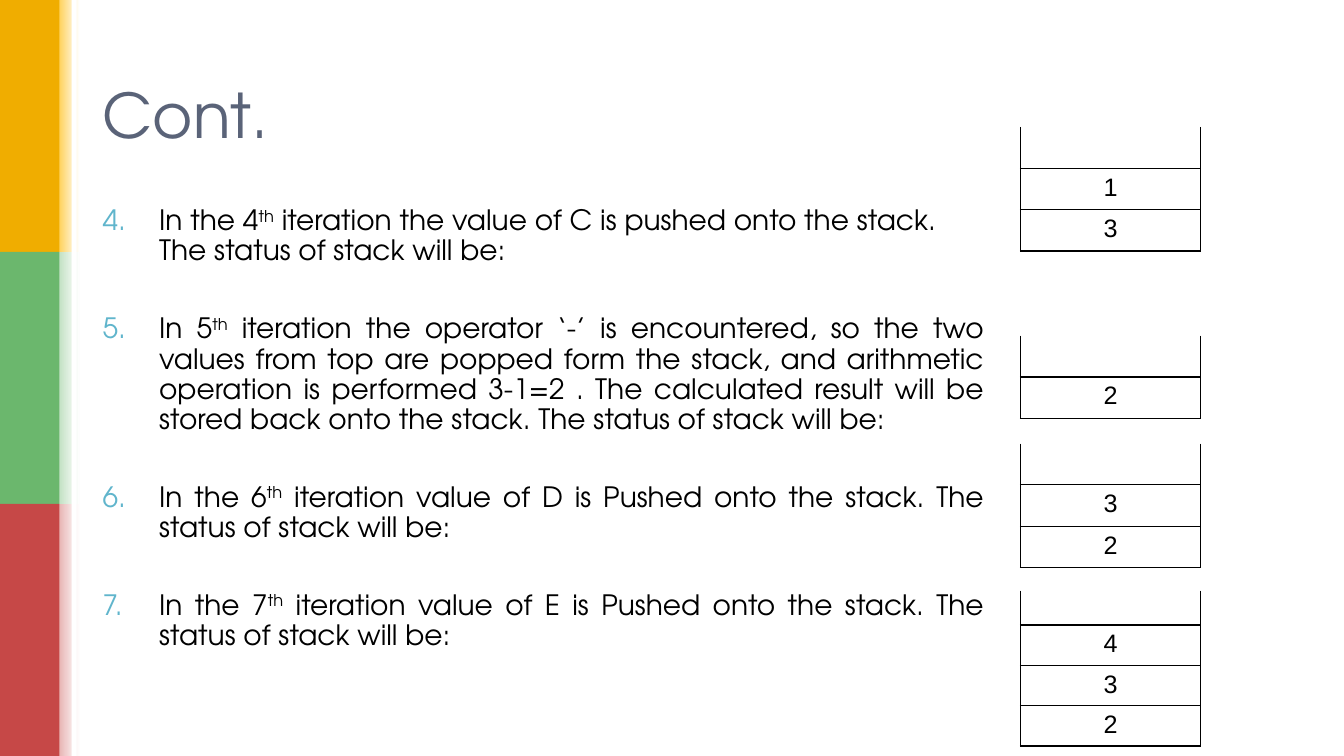
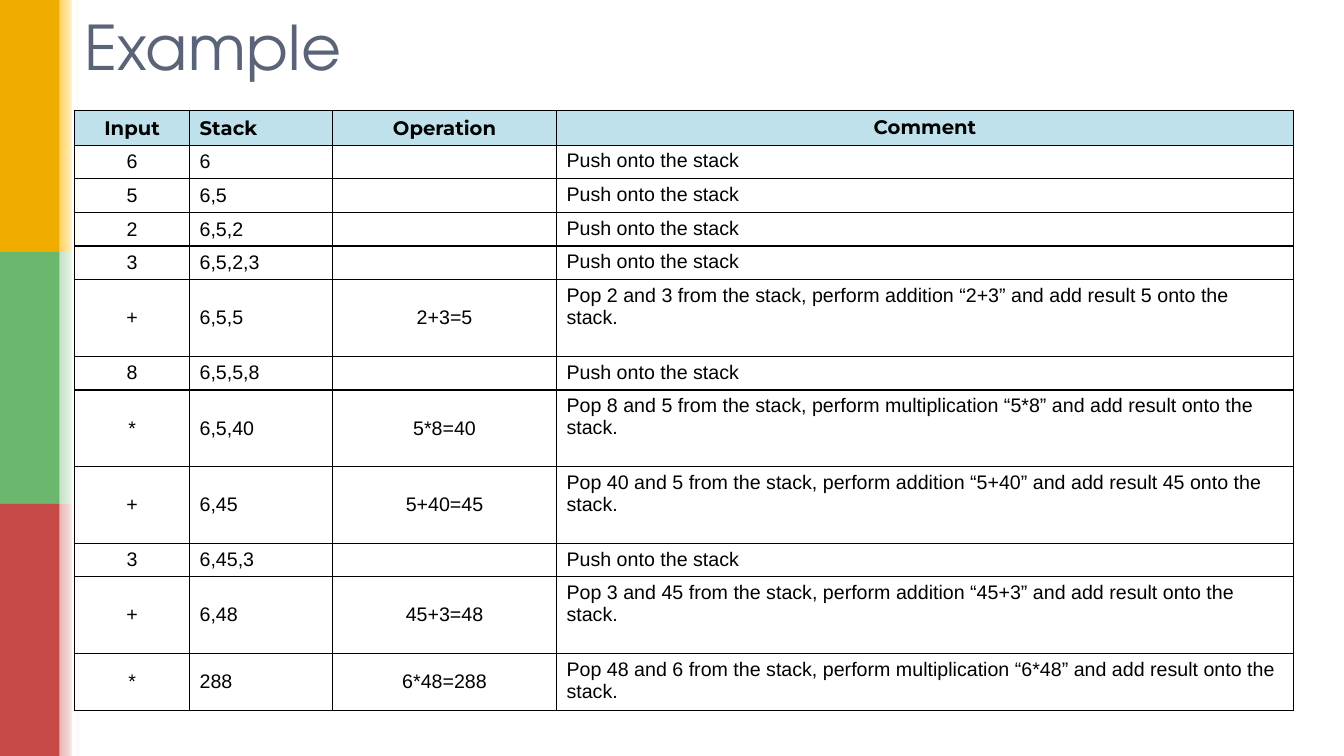
from lxml import etree
from pptx import Presentation
from pptx.dml.color import RGBColor
from pptx.enum.shapes import MSO_SHAPE
from pptx.enum.text import MSO_ANCHOR, PP_ALIGN
from pptx.oxml import parse_xml
from pptx.oxml.ns import nsdecls, qn
from pptx.util import Inches, Pt

RECTANGLE = MSO_SHAPE.RECTANGLE
LEFT, CENTER, JUSTIFY = PP_ALIGN.LEFT, PP_ALIGN.CENTER, PP_ALIGN.JUSTIFY
TOP, MIDDLE = MSO_ANCHOR.TOP, MSO_ANCHOR.MIDDLE

WIDTH, HEIGHT = 13.33, 7.5
DISPLAY_FONT, HEADER_FONT, CELL_FONT = "TeX Gyre Adventor", "Montserrat", "Arial"
BLACK, WHITE, SLATE, SKY, PALE_SKY = "000000", "FFFFFF", "5A6378", "60B5CC", "BFE1EB"
# Band colour and the tint its soft edge starts from, top to bottom
BANDS = [("F0AD00", "FFD25D"), ("6BB76D", "C4E2C5"), ("C64847", "E8B6B5")]
# Title text, left, top, width, height
TITLES = [("Cont.", 0.92, 0.4, 11.5, 1.45), ("Example", 0.74, 0.16, 11.5, 0.6)]


def color(hex_string):
    return RGBColor.from_string(hex_string)


def add_grid(slide, left, top, widths, heights, rows, size, alignments,
             has_header=False, open_top=False):
    """Add a table with thin black borders; open_top drops the upper edge."""
    shape = slide.shapes.add_table(len(rows), len(widths), Inches(left), Inches(top),
                                   Inches(sum(widths)), Inches(sum(heights)))
    table = shape.table
    table.first_row = table.horz_banding = False
    for column, width in zip(table.columns, widths):
        column.width = Inches(width)
    for row_index, (texts, height) in enumerate(zip(rows, heights)):
        table.rows[row_index].height = Inches(height)
        is_header = has_header and row_index == 0
        for column_index, text in enumerate(texts):
            cell = table.cell(row_index, column_index)
            # The last column holds the longest text and starts at the top
            cell.vertical_anchor = TOP if column_index == len(widths) - 1 else MIDDLE
            if is_header:
                cell.fill.solid()
                cell.fill.fore_color.rgb = color(PALE_SKY)
            else:
                cell.fill.background()
            paragraph = cell.text_frame.paragraphs[0]
            if text:
                paragraph.text = text
            paragraph.alignment = alignments[column_index]
            if is_header and text == "Comment":
                paragraph.alignment = CENTER
            paragraph.font.name = HEADER_FONT if is_header else CELL_FONT
            paragraph.font.size = Pt(size if text else 14)
            paragraph.font.bold = is_header
            paragraph.font.color.rgb = color(BLACK)
            properties = cell._tc.get_or_add_tcPr()
            for position, side in enumerate("LRTB"):
                hidden = open_top and row_index == 0 and side == "T"
                paint = "<a:noFill/>" if hidden else (
                    f'<a:solidFill><a:srgbClr val="{BLACK}"/></a:solidFill>')
                properties.insert(position, parse_xml(
                    f'<a:ln{side} {nsdecls("a")} w="{Pt(1)}">{paint}</a:ln{side}>'))


presentation = Presentation()
presentation.slide_width, presentation.slide_height = Inches(WIDTH), Inches(HEIGHT)

# Shared frame: bands with soft edges, and the title
band_height = HEIGHT / len(BANDS)
slides = []
for title, left, top, width, height in TITLES:
    slide = presentation.slides.add_slide(presentation.slide_layouts[6])
    slides.append(slide)
    pieces = [(0, i * band_height, 0.62, band_height, band, None)
              for i, (band, tint) in enumerate(BANDS)]
    pieces += [(0.59, i * band_height, 0.2, band_height, tint, WHITE)
               for i, (band, tint) in enumerate(BANDS)]
    pieces.append((0.71, 0, 0.05, HEIGHT, WHITE, None))
    for x, y, piece_width, piece_height, start, end in pieces:
        shape = slide.shapes.add_shape(RECTANGLE, Inches(x), Inches(y),
                                       Inches(piece_width), Inches(piece_height))
        shape.shadow.inherit = False
        shape.line.fill.background()
        if end:
            shape.fill.gradient()
            shape.fill.gradient_angle = 0
            for stop, stop_color in zip(shape.fill.gradient_stops, (start, end)):
                stop.color.rgb = color(stop_color)
        else:
            shape.fill.solid()
            shape.fill.fore_color.rgb = color(start)

    title_box = slide.shapes.add_textbox(Inches(left), Inches(top),
                                         Inches(width), Inches(height))
    title_box.text_frame.word_wrap = True
    title_box.text_frame.vertical_anchor = MIDDLE
    paragraph = title_box.text_frame.paragraphs[0]
    paragraph.text = title
    paragraph.font.name = DISPLAY_FONT
    paragraph.font.size = Pt(44)
    paragraph.font.color.rgb = color(SLATE)

stack_slide, example_slide = slides

# Numbered steps: text before and after the raised "th"
FIRST_STEP = 4
steps = [
    ("In the 4", " iteration the value of C is pushed onto the stack. "
     "The status of stack will be:"),
    ("In 5", " iteration the operator ‘-’ is encountered, so the two values from top are "
     "popped form the stack, and arithmetic operation is performed 3-1=2 . The calculated "
     "result will be stored back onto the stack. The status of stack will be:"),
    ("In the 6", " iteration value of D is Pushed onto the stack. "
     "The status of stack will be:"),
    ("In the 7", " iteration value of E is Pushed onto the stack. "
     "The status of stack will be:"),
]
steps_box = stack_slide.shapes.add_textbox(Inches(0.92), Inches(2), Inches(8.94), Inches(4.76))
text_frame = steps_box.text_frame
text_frame.word_wrap = True
for index, (before, after) in enumerate(steps):
    paragraph = text_frame.add_paragraph() if index else text_frame.paragraphs[0]
    paragraph.alignment = JUSTIFY if index else LEFT
    paragraph.line_spacing = 0.9
    if index:
        paragraph.space_before = Pt(34)
    properties = paragraph._p.get_or_add_pPr()
    properties.set("marL", str(Inches(0.56)))
    properties.set("indent", str(-Inches(0.56)))
    bullet_color = etree.SubElement(properties, qn("a:buClr"))
    etree.SubElement(bullet_color, qn("a:srgbClr"), val=SKY)
    etree.SubElement(properties, qn("a:buAutoNum"), type="arabicPeriod",
                     startAt=str(FIRST_STEP))
    paragraph.font.name = DISPLAY_FONT
    paragraph.font.size = Pt(20)
    paragraph.font.color.rgb = color(BLACK)
    for text in (before, "th", after):
        run = paragraph.add_run()
        run.text = text
        if text == "th":
            run._r.get_or_add_rPr().set("baseline", "30000")

# Stack after each step: top, height of the open row, of the others, values
stacks = [(1.26, 0.41, 0.41, "13"), (3.33, 0.41, 0.41, "2"),
          (4.4, 0.41, 0.41, "32"), (5.86, 0.34, 0.38, "432")]
for top, open_height, value_height, values in stacks:
    add_grid(stack_slide, 10.12, top, [1.79], [open_height] + [value_height] * len(values),
             [[""]] + [[value] for value in values], 18, [CENTER], open_top=True)

# Worked example
PUSH = "Push onto the stack"
example_rows = [
    ("Input", "Stack", "Operation", "Comment"),
    ("6", "6", "", PUSH),
    ("5", "6,5", "", PUSH),
    ("2", "6,5,2", "", PUSH),
    ("3", "6,5,2,3", "", PUSH),
    ("+", "6,5,5", "2+3=5",
     "Pop 2 and 3 from the stack, perform addition “2+3” and add result 5 onto the stack."),
    ("8", "6,5,5,8", "", PUSH),
    ("*", "6,5,40", "5*8=40",
     "Pop 8 and 5 from the stack, perform multiplication “5*8” and add result onto the stack."),
    ("+", "6,45", "5+40=45",
     "Pop 40 and 5 from the stack, perform addition “5+40” and add result 45 onto the stack."),
    ("3", "6,45,3", "", PUSH),
    ("+", "6,48", "45+3=48",
     "Pop 3 and 45 from the stack, perform addition “45+3” and add result onto the stack."),
    ("*", "288", "6*48=288",
     "Pop 48 and 6 from the stack, perform multiplication “6*48” and add result onto the stack."),
]
row_heights = [0.76 if row[2] else 0.32 for row in example_rows]
row_heights[0], row_heights[-1] = 0.34, 0.54
add_grid(example_slide, 0.74, 1.1, [1.14, 1.42, 2.22, 7.31], row_heights, example_rows, 14,
         [CENTER, LEFT, CENTER, LEFT], has_header=True)

presentation.save("out.pptx")
